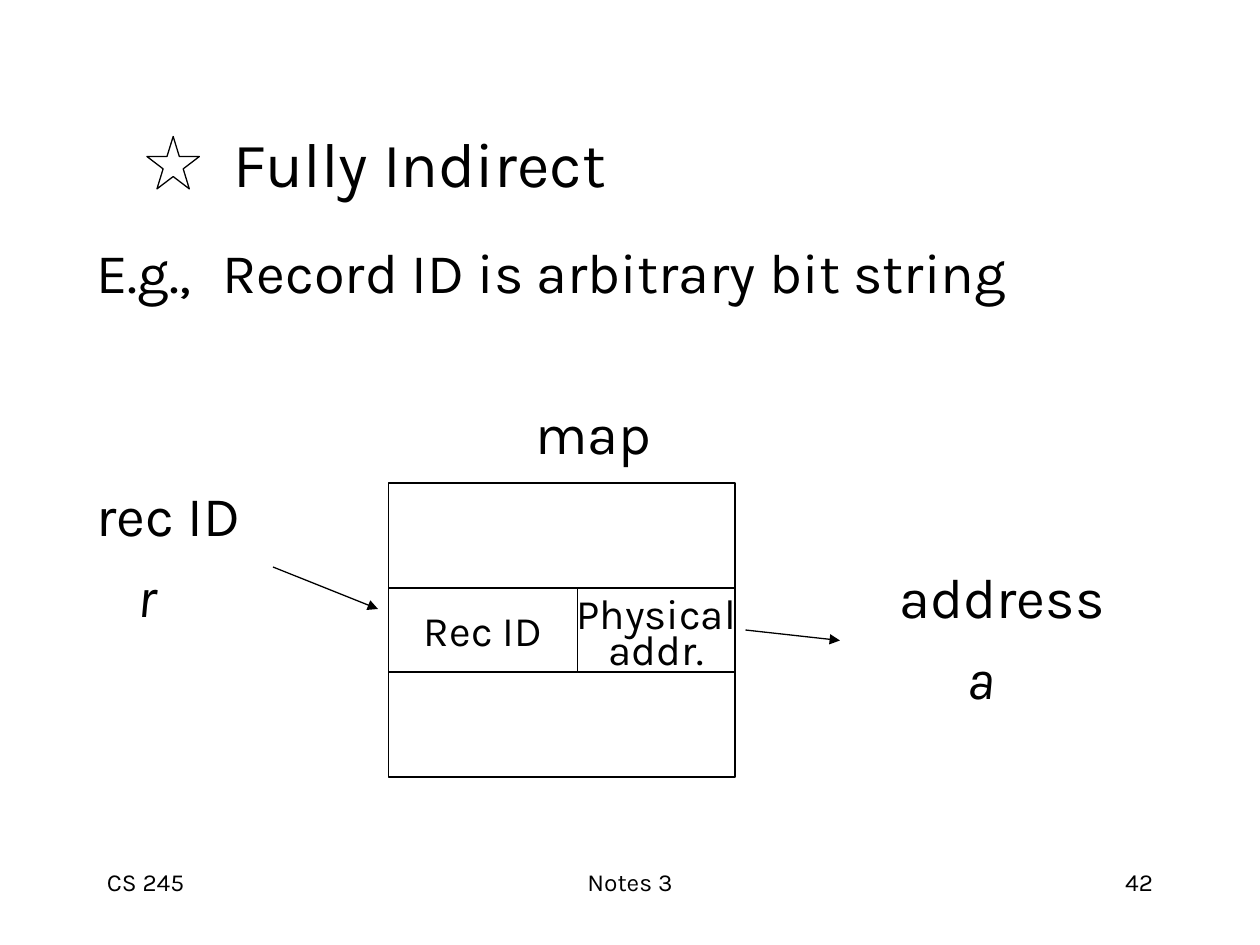
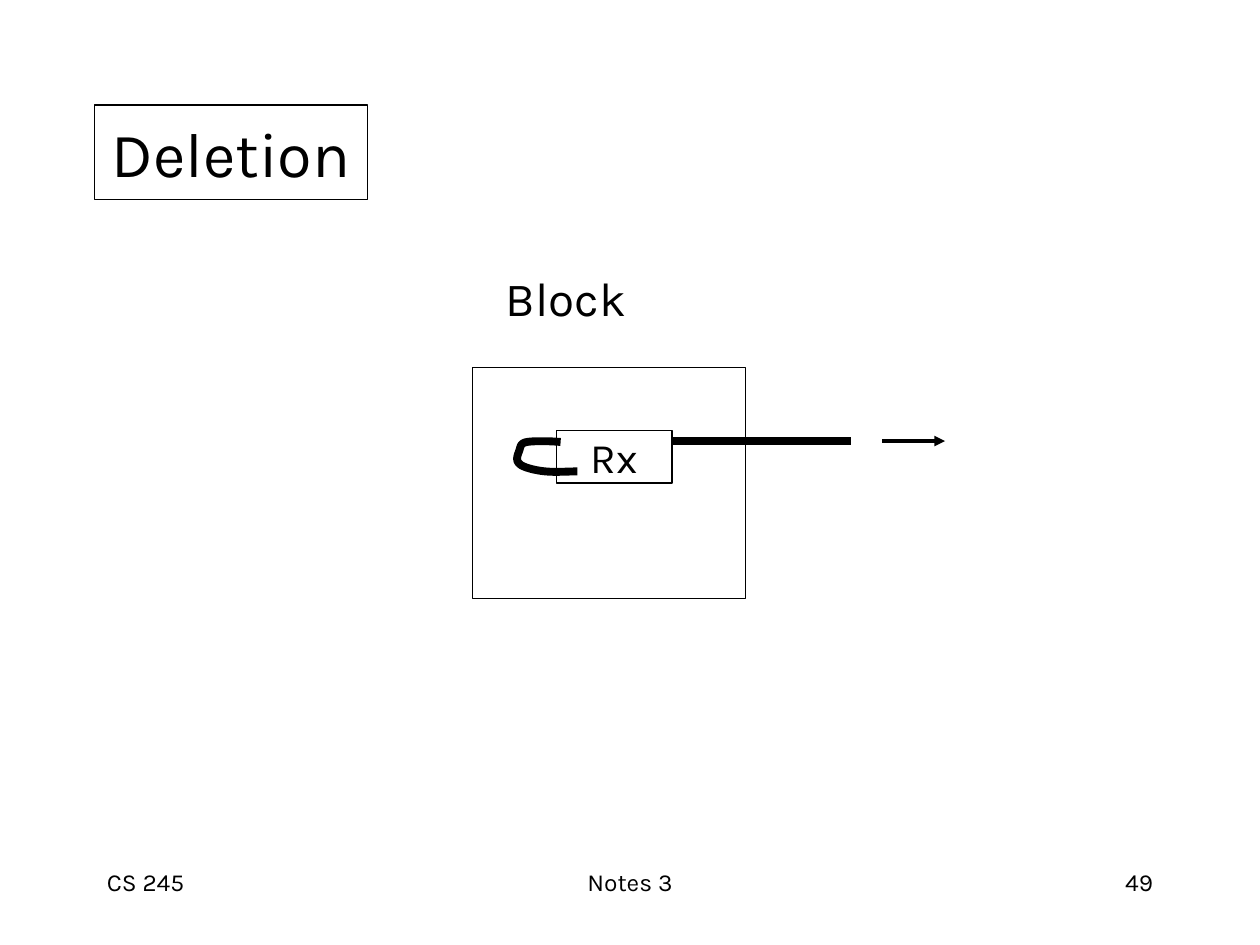
import pptx
import pptx.dml.color
import pptx.enum.shapes
import pptx.enum.text
import pptx.util
from lxml import etree
from pptx.oxml.ns import qn

PX = 7620  # EMU per px, 120 px to the inch
FONT = "Karla"
COLORS = {"ink": "000000", "paper": "FFFFFF"}
TITLE_SIZE, BODY_SIZE, LABEL_SIZE, FOOTER_SIZE = 36, 32, 24, 14
THIN, ARROW, STRIKE = 0.75, 2, 4.5
ALIGN = pptx.enum.text.PP_ALIGN
ANCHOR = pptx.enum.text.MSO_ANCHOR
SHAPE = pptx.enum.shapes.MSO_SHAPE


def px(*lengths):
    return [pptx.util.Emu(round(length * PX)) for length in lengths]


def color(key):
    return pptx.dml.color.RGBColor.from_string(COLORS[key])


def style_runs(frame, size, align=ALIGN.LEFT):
    for paragraph in frame.paragraphs:
        paragraph.alignment = align
        for run in paragraph.runs:
            run.font.name = FONT
            run.font.size = pptx.util.Pt(size)
            run.font.color.rgb = color("ink")


def style_line(line, width):
    line.color.rgb = color("ink")
    line.width = pptx.util.Pt(width)


def indent(paragraph, left):
    """Start the first line at left px."""
    properties = paragraph._p.get_or_add_pPr()
    properties.set("marL", "0")
    properties.set("indent", str(left * PX))


def add_text(slide, box, text, size, align=ALIGN.LEFT, anchor=ANCHOR.TOP):
    frame = slide.shapes.add_textbox(*px(*box)).text_frame
    frame.word_wrap = True
    frame.vertical_anchor = anchor
    frame.text = text
    style_runs(frame, size, align)
    return frame


def add_outline(slide, box, text="", size=LABEL_SIZE, kind=SHAPE.RECTANGLE):
    """White shape with a thin outline and centred text on one line."""
    outline = slide.shapes.add_shape(kind, *px(*box))
    outline.shadow.inherit = False
    outline.fill.solid()
    outline.fill.fore_color.rgb = color("paper")
    style_line(outline.line, THIN)
    frame = outline.text_frame
    if text:
        frame.word_wrap = False
        frame.vertical_anchor = ANCHOR.MIDDLE
        frame.text = text
        style_runs(frame, size, ALIGN.CENTER)
    return frame


def add_line(slide, start, end, width=THIN, arrow=True):
    connector = slide.shapes.add_connector(
        pptx.enum.shapes.MSO_CONNECTOR.STRAIGHT, *px(*start, *end))
    style_line(connector.line, width)
    if arrow:
        etree.SubElement(connector.line._get_or_add_ln(), qn("a:tailEnd"), type="triangle")
    etree.SubElement(connector._element.spPr, qn("a:effectLst"))


def add_curve(slide, origin, start, beziers, width, steps=8):
    """Open curve through cubic segments given in px from origin."""
    points, here = [], start
    for first, second, end in beziers:
        for step in range(1, steps + 1):
            t = step / steps
            weights = ((1 - t) ** 3, 3 * t * (1 - t) ** 2, 3 * t * t * (1 - t), t ** 3)
            corners = (here, first, second, end)
            points.append([sum(w * c[axis] for w, c in zip(weights, corners)) for axis in (0, 1)])
        here = end
    builder = slide.shapes.build_freeform(*px(*start))
    builder.add_line_segments([px(*point) for point in points], close=False)
    curve = builder.convert_to_shape(*px(*origin))
    curve.shadow.inherit = False
    curve.fill.background()
    style_line(curve.line, width)


def add_footer(slide, box, number):
    left, top, width, height = box
    course_width, notes_width = 250, 380
    parts = (
        (left, course_width, "CS 245", ALIGN.LEFT),
        (left + 320, notes_width, "Notes 3", ALIGN.CENTER),
        (left + width - course_width, course_width, str(number), ALIGN.RIGHT),
    )
    for x, part_width, text, align in parts:
        add_text(slide, (x, top, part_width, height), text, FOOTER_SIZE, align)


def add_starred_title(slide, box, text):
    left, top, _, _ = box
    title = add_text(slide, box, text, TITLE_SIZE, anchor=ANCHOR.MIDDLE)
    indent(title.paragraphs[0], 121)
    add_outline(slide, (left + 50, top + 50, 50, 50), kind=SHAPE.STAR_5_POINT)


def add_indented_lines(slide, box, lines):
    """Body lines given as text, indent in px, space before in pt and italic flag."""
    frame = add_text(slide, box, "\n".join(line[0] for line in lines), BODY_SIZE)
    for paragraph, (_, left, before, italic) in zip(frame.paragraphs, lines):
        indent(paragraph, left)
        paragraph.space_before = pptx.util.Pt(before)
        for run in paragraph.runs:
            run.font.italic = italic


def add_lookup_text(slide, box):
    """Example sentence, and the names left of, above and right of the map."""
    left, top, width, height = box
    address_x, address_y = 765, 310
    add_indented_lines(slide, box, (
        ("E.g.,\tRecord ID is arbitrary bit string", 0, 0, False),
        ("map", 418, 54, False),
        ("rec ID", 0, 8, False),
        ("r", 39, 8, True),
    ))
    address_box = (left + address_x, top + address_y, width - address_x, height - address_y)
    add_indented_lines(slide, address_box, (
        ("address", 0, 0, False),
        ("a", 64, 8, True),
    ))


def add_map(slide, box):
    left, top, width, _ = box
    entry_top, entry_height, id_width = top + 100, 80, 180
    right = left + width
    add_outline(slide, box)
    address = add_outline(
        slide, (left + id_width, entry_top, width - id_width, entry_height), "Physical\naddr.")
    address.paragraphs[1].line_spacing = 0.7
    add_outline(slide, (left, entry_top, id_width, entry_height), "Rec ID")
    add_line(slide, (left - 110, top + 80), (left - 10, top + 120))
    add_line(slide, (right + 10, top + 140), (right + 100, top + 150))


def add_block(slide, box):
    """Block whose record Rx is struck out by a pen stroke."""
    left, top, _, _ = box
    record = (left + 80, top + 60, 110, 50)
    stroke_y = record[1] + 10
    record_right = record[0] + record[2]
    add_text(slide, (left + 20, top - 100, 160, 70), "Block", 27.2)
    add_outline(slide, box)
    add_outline(slide, record, "Rx")
    add_line(slide, (record_right, stroke_y), (record_right + 170, stroke_y), STRIKE, arrow=False)
    hook = (
        ((31, 0), (19, 0), (12, 1)),
        ((6, 2), (6, 5), (5, 8)),
        ((4, 12), (0, 18), (5, 22)),
        ((8, 25), (19, 28), (29, 29)),
        ((37, 30), (54, 29), (60, 29)),
    )
    add_curve(slide, (left + 40, stroke_y), (44, 1), hook, STRIKE)
    add_line(slide, (record_right + 200, stroke_y), (record_right + 260, stroke_y), ARROW)


def build_indirect(slide):
    add_starred_title(slide, (90, 80, 1020, 150), "Fully Indirect")
    add_lookup_text(slide, (80, 220, 1020, 540))
    add_map(slide, (370, 460, 330, 280))


def build_deletion(slide):
    add_outline(slide, (90, 100, 260, 90), "Deletion", TITLE_SIZE)
    add_block(slide, (450, 350, 260, 220))


def main():
    deck = pptx.Presentation()
    deck.slide_width, deck.slide_height = px(1200, 900)
    for build, number in ((build_indirect, 42), (build_deletion, 49)):
        slide = deck.slides.add_slide(deck.slide_layouts[6])
        add_footer(slide, (90, 820, 1020, 60), number)
        build(slide)
    deck.save("out.pptx")


if __name__ == "__main__":
    main()
